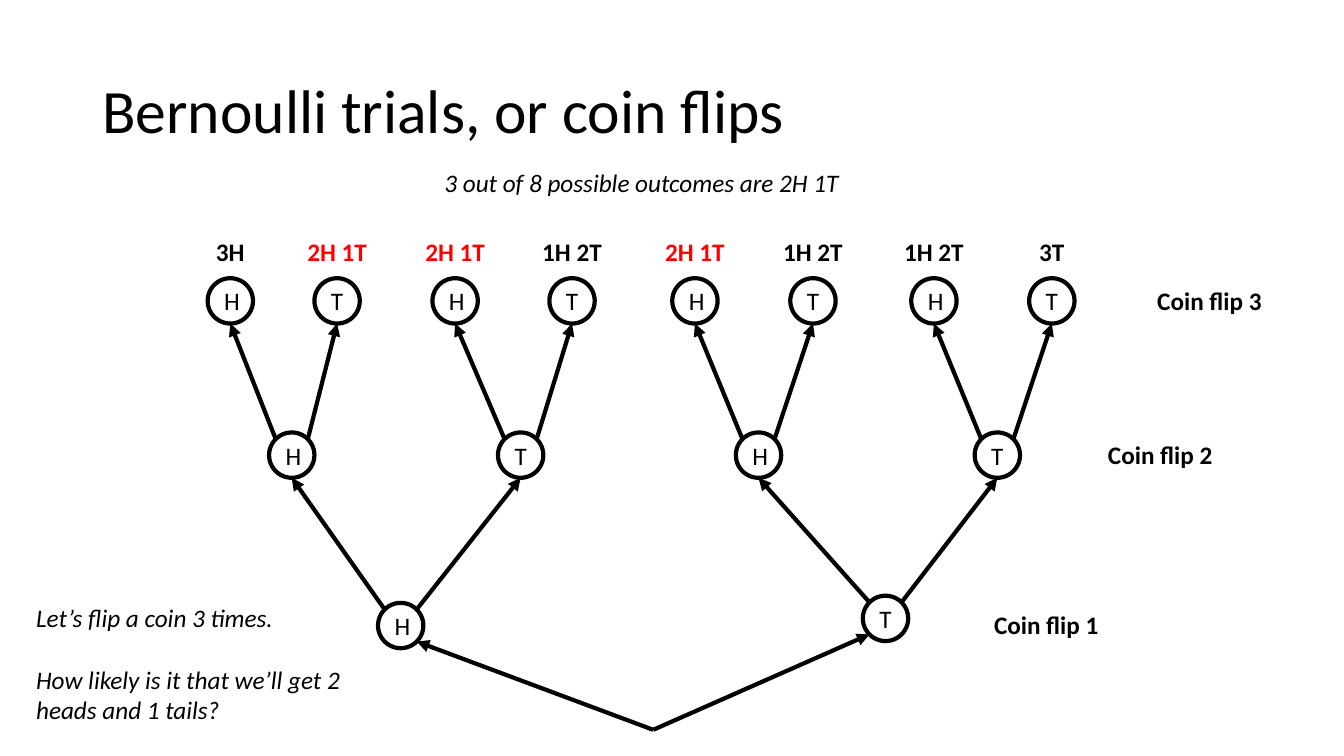
"""Draw a tree of the outcomes of three coin flips."""
from dataclasses import dataclass
from math import sqrt

from pptx import Presentation
from pptx import util as u
from pptx.dml.color import RGBColor
from pptx.enum import shapes, text
from pptx.oxml import ns, xmlchemy as xc


@dataclass(frozen=True)
class Theme:
    """Hold the colours, font and sizes of the slide."""
    ink: str = "000000"
    hit: str = "FF0000"
    font: str = "Calibri"
    title: float = 44
    body: float = 18
    line: float = 3


THEME = Theme()
LEFT, MID = text.PP_ALIGN.LEFT, text.PP_ALIGN.CENTER
RAD = 16.2
DIAG = RAD / sqrt(2)
ROOT = (466.6, 521.3)
FLIPS = [
    [(286.2, 446.8), (632.5, 441.7)],
    [(x, 325.1) for x in (208.4, 371.9, 541.8, 712.4)],
    [(x, 214.9) for x in (164.5, 240.8, 325.1, 408.6,
                          496.4, 580.7, 667.1, 751.3)],
]
ENDS = ["3H", "2H 1T", "2H 1T", "1H 2T", "2H 1T", "1H 2T", "1H 2T", "3T"]
NAMES = [("Coin flip 1", 694.8, 432), ("Coin flip 2", 776.2, 310.3),
         ("Coin flip 3", 811.4, 200.2)]


def write(frame, *lines, size=THEME.body, color=THEME.ink, bold=False,
          italic=False, align=LEFT, gap=0, space=None):
    """Fill a text frame with one formatted paragraph for each line."""
    frame.word_wrap = True
    for i, line in enumerate(lines):
        para = frame.add_paragraph() if i else frame.paragraphs[0]
        para.alignment = align
        para.line_spacing = space
        if i:
            para.space_before = u.Pt(gap)
        run = para.add_run()
        run.text = line
        font = run.font
        font.name, font.size = THEME.font, u.Pt(size)
        font.bold, font.italic = bold, italic
        font.color.rgb = RGBColor.from_string(color)


def label(slide, box, *lines, **form):
    """Add a text box at left, top, width and height."""
    frame = slide.shapes.add_textbox(*map(u.Pt, box)).text_frame
    write(frame, *lines, **form)


def coin(slide, spot, face):
    """Add a ringed letter centred on a spot."""
    x, y = spot
    box = map(u.Pt, (x - RAD, y - RAD, 2 * RAD, 2 * RAD))
    ring = slide.shapes.add_shape(shapes.MSO_SHAPE.OVAL, *box)
    ring.shadow.inherit = False
    ring.fill.background()
    ring.line.color.rgb = RGBColor.from_string(THEME.ink)
    ring.line.width = u.Pt(THEME.line)
    ring.text_frame.vertical_anchor = text.MSO_ANCHOR.MIDDLE
    write(ring.text_frame, face, align=MID)


def arrow(slide, start, end):
    """Add a straight arrow between two points."""
    link = slide.shapes.add_connector(
        shapes.MSO_CONNECTOR.STRAIGHT, *map(u.Pt, (*start, *end)))
    link.line.color.rgb = RGBColor.from_string(THEME.ink)
    link.line.width = u.Pt(THEME.line)
    head = xc.OxmlElement("a:tailEnd")
    head.set("type", "triangle")
    props = link._element.spPr
    props.find(ns.qn("a:ln")).append(head)
    props.append(xc.OxmlElement("a:effectLst"))


def tree(slide):
    """Draw the coins and the arrows that lead to them."""
    for row, spots in enumerate(FLIPS):
        for i, (x, y) in enumerate(spots):
            side = 1 if i % 2 else -1
            if row:
                px, py = FLIPS[row - 1][i // 2]
                arrow(slide, (px + side * DIAG, py - DIAG), (x, y + RAD))
            else:
                arrow(slide, ROOT, (x - side * DIAG, y + DIAG))
            coin(slide, (x, y), "HT"[i % 2])


def head(slide, words):
    """Place and fill the title."""
    title = slide.shapes.title
    title.left, title.top, title.width, title.height = map(
        u.Pt, (66, 28.8, 828, 104.4))
    frame = title.text_frame
    frame.auto_size = text.MSO_AUTO_SIZE.NONE
    frame.vertical_anchor = text.MSO_ANCHOR.MIDDLE
    write(frame, words, size=THEME.title, space=0.9)


def main():
    """Build the slide and save it."""
    deck = Presentation()
    deck.slide_width, deck.slide_height = u.Pt(960), u.Pt(540)
    slide = deck.slides.add_slide(deck.slide_layouts[5])
    head(slide, "Bernoulli trials, or coin flips")
    label(slide, (302.4, 115.9, 311.8, 29),
          "3 out of 8 possible outcomes are 2H 1T", italic=True, align=MID)
    label(slide, (18.7, 427, 261.4, 94.3), "Let’s flip a coin 3 times.",
          "How likely is it that we’ll get 2 heads and 1 tails?",
          italic=True, gap=22)
    tree(slide)
    for (x, _), end in zip(FLIPS[-1], ENDS):
        wide = 67 if " " in end else 36
        label(slide, (x - wide / 2, 165.2, wide, 29), end, bold=True,
              align=MID, color=THEME.hit if end == "2H 1T" else THEME.ink)
    for name, x, y in NAMES:
        label(slide, (x, y, 105.1, 29), name, bold=True, align=MID)
    deck.save("out.pptx")


if __name__ == "__main__":
    main()
